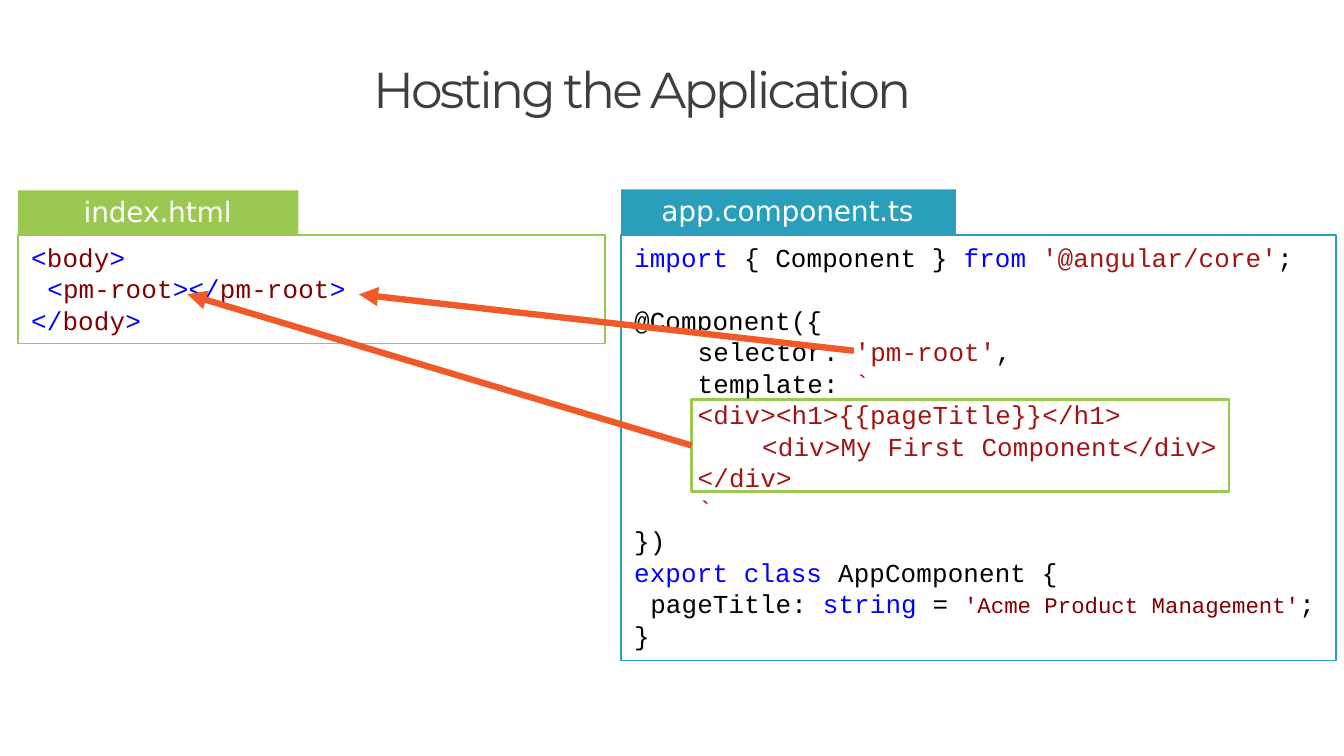
from lxml import etree
from pptx import Presentation
from pptx.dml.color import RGBColor
from pptx.enum.shapes import MSO_CONNECTOR, MSO_SHAPE
from pptx.enum.text import MSO_ANCHOR, PP_ALIGN
from pptx.oxml.ns import qn
from pptx.util import Inches, Pt

RECT = MSO_SHAPE.RECTANGLE
STRAIGHT = MSO_CONNECTOR.STRAIGHT
LEFT = PP_ALIGN.LEFT
TOP = MSO_ANCHOR.TOP

COLORS = {"title": "3E3E3E", "white": "FFFFFF", "green": "9BC850",
          "teal": "2A9FBC", "orange": "F05A28", "keyword": "0000FF",
          "tag": "800000", "string": "A31515", "plain": "000000"}
LINE_PITCH = 22.5


def rgb(name):
    return RGBColor.from_string(COLORS[name])


def add_lines(sp, lines, font, size, spacing, top=0, pitch=None):
    """Each line is (indent, space before, runs); a run is (text, color[, size])."""
    tf = sp.text_frame
    tf.word_wrap = True
    tf.vertical_anchor = TOP
    tf.margin_left = tf.margin_right = tf.margin_bottom = 0
    tf.margin_top = Inches(top)
    for i, (indent, before, runs) in enumerate(lines):
        p = tf.paragraphs[0] if i == 0 else tf.add_paragraph()
        p.alignment = LEFT
        p.space_before = Pt(before)
        if pitch:
            p.line_spacing = Pt(pitch)
        pPr = p._p.get_or_add_pPr()
        pPr.set("marL", str(Inches(indent)))
        pPr.set("indent", "0")
        for text, color, *own_size in runs:
            r = p.add_run()
            r.text = text
            r.font.name = font
            r.font.size = Pt(own_size[0] if own_size else size)
            r.font.color.rgb = rgb(color)
            r._r.get_or_add_rPr().set("spc", str(0 if own_size else spacing))


prs = Presentation()
prs.slide_width, prs.slide_height = Inches(13.33), Inches(7.5)
s = prs.slides.add_slide(prs.slide_layouts[6])

# Title
sp = s.shapes.add_textbox(Inches(3.69), Inches(0.57), Inches(5.86), Inches(0.63))
add_lines(sp, [(0.01, 1, [("Hosting the Application", "title")])],
          "Montserrat", 36, -205, top=0.01)

# Code frames and the frame around the template
frames = [(0.18, 2.33, 5.82, 1.08, "green", 0.96),
          (6.16, 2.33, 7.09, 4.22, "teal", 0.96),
          (6.86, 3.96, 5.33, 0.92, "green", 2.04)]
for x, y, w, h, color, weight in frames:
    sp = s.shapes.add_shape(RECT, Inches(x), Inches(y), Inches(w), Inches(h))
    sp.shadow.inherit = False
    sp.fill.background()
    sp.line.color.rgb = rgb(color)
    sp.line.width = Pt(weight)

# File name tabs
tabs = [(0.18, 1.89, 2.78, "green", 0.65, "index.html"),
        (6.16, 1.88, 3.32, "teal", 0.4, "app.component.ts")]
for x, y, w, color, indent, name in tabs:
    sp = s.shapes.add_shape(RECT, Inches(x), Inches(y), Inches(w), Inches(0.44))
    sp.shadow.inherit = False
    sp.fill.solid()
    sp.fill.fore_color.rgb = rgb(color)
    sp.line.fill.background()
    add_lines(sp, [(indent, 3, [(name, "white")])], "DejaVu Sans", 20, -15, top=0.04)

# Code
index_html = [
    (0.01, 0, [("<", "keyword"), ("body", "tag"), (">", "keyword")]),
    (0.17, 0, [("<", "keyword"), ("pm-root", "tag"), ("></", "keyword"),
               ("pm-root", "tag"), (">", "keyword")]),
    (0.01, 0, [("</", "keyword"), ("body", "tag"), (">", "keyword")]),
]
component_ts = [
    (0.01, 0, [("import ", "keyword"), ("{ Component } ", "plain"), ("from ", "keyword"),
               ("'@angular/core'", "string"), (";", "plain")]),
    (0.01, LINE_PITCH, [("@Component({", "plain")]),
    (0.64, 0, [("selector: ", "plain"), ("'pm-root'", "string"), (",", "plain")]),
    (0.64, 0, [("template: ", "plain"), ("`", "string")]),
    (0.64, 0, [("<div><h1>{{pageTitle}}</h1>", "string")]),
    (1.28, 0, [("<div>My First Component</div>", "string")]),
    (0.64, 0, [("</div>", "string")]),
    (0.64, 0, [("`", "string")]),
    (0.01, 0, [("})", "plain")]),
    (0.01, 0, [("export class ", "keyword"), ("AppComponent {", "plain")]),
    (0.17, 0, [("pageTitle: ", "plain"), ("string ", "keyword"), ("= ", "plain"),
               ("'Acme Product Management'", "tag", 16), (";", "plain")]),
    (0.01, 0, [("}", "plain")]),
]
for x, w, h, code in [(0.3, 5.6, 0.96, index_html), (6.28, 6.95, 4.07, component_ts)]:
    sp = s.shapes.add_textbox(Inches(x), Inches(2.39), Inches(w), Inches(h))
    add_lines(sp, code, "Courier New", 18.5, 10, pitch=LINE_PITCH)

# Arrows from the component to its host element
for x1, y1, x2, y2 in [(8.47, 3.48, 3.56, 2.92), (6.86, 4.42, 1.86, 2.92)]:
    arrow = s.shapes.add_connector(STRAIGHT, Inches(x1), Inches(y1), Inches(x2), Inches(y2))
    arrow.line.color.rgb = rgb("orange")
    arrow.line.width = Pt(4.56)
    etree.SubElement(arrow.line._get_or_add_ln(), qn("a:tailEnd"), type="triangle")
    etree.SubElement(arrow._element.spPr, qn("a:effectLst"))

prs.save("out.pptx")
